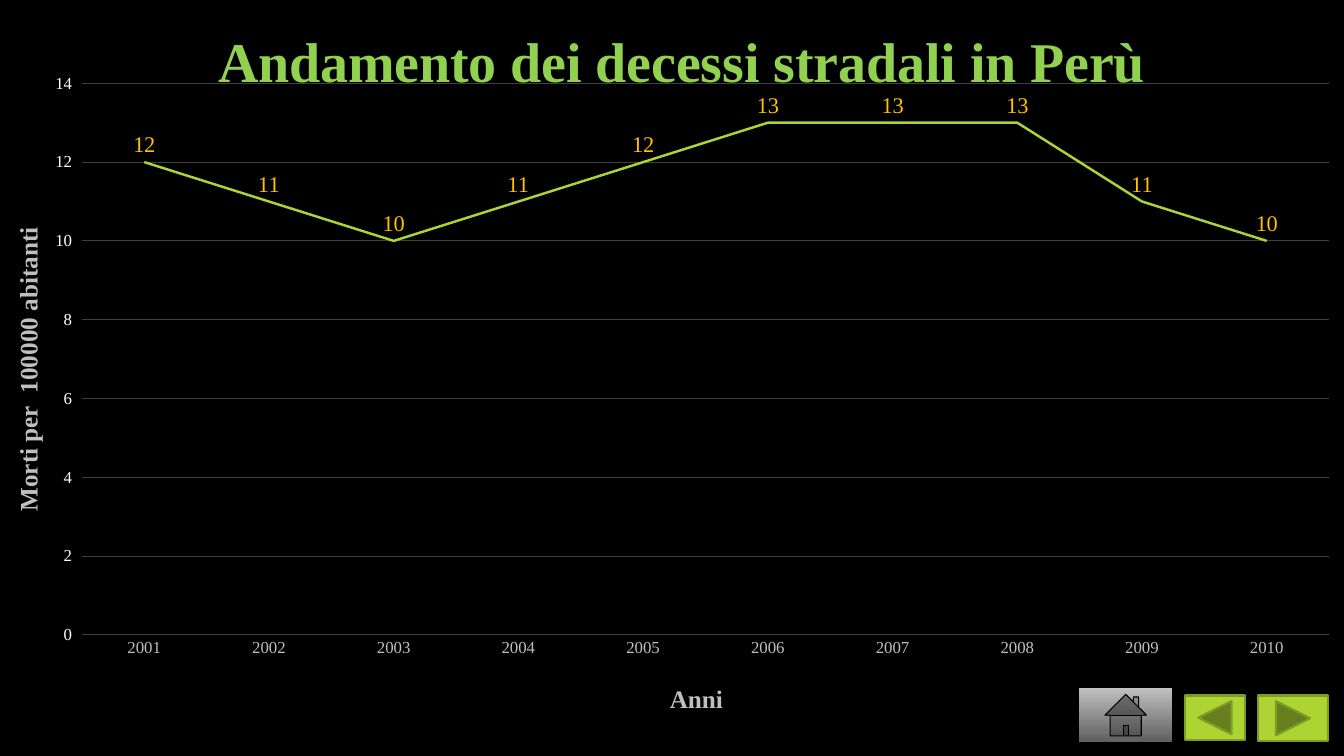
from dataclasses import dataclass

from lxml import etree
from pptx import Presentation
from pptx.chart.data import CategoryChartData
from pptx.dml.color import RGBColor
from pptx.enum.chart import XL_CHART_TYPE, XL_LABEL_POSITION, XL_MARKER_STYLE, XL_TICK_MARK
from pptx.enum.shapes import MSO_SHAPE
from pptx.oxml import parse_xml
from pptx.oxml.ns import nsdecls, qn
from pptx.util import Inches, Pt

LINE = XL_CHART_TYPE.LINE
ABOVE = XL_LABEL_POSITION.ABOVE
NO_MARKER = XL_MARKER_STYLE.NONE
NO_TICK = XL_TICK_MARK.NONE
TICK_OUTSIDE = XL_TICK_MARK.OUTSIDE
BACK = MSO_SHAPE.ACTION_BUTTON_BACK_OR_PREVIOUS
FORWARD = MSO_SHAPE.ACTION_BUTTON_FORWARD_OR_NEXT
HOME = MSO_SHAPE.ACTION_BUTTON_HOME

WIDTH, HEIGHT = Inches(13.33), Inches(7.5)
YEARS = [str(year) for year in range(2001, 2011)]
DEATHS = (12, 11, 10, 11, 12, 13, 13, 13, 11, 10)


@dataclass(frozen=True)
class Theme:
    """Colours, font and type sizes of the slide."""
    font: str = "Times New Roman"
    background: str = "000000"
    title: str = "92D050"
    muted: str = "BFBFBF"
    light: str = "FFFFFF"
    label: str = "FFC000"
    grid: str = "404040"
    accent: str = "ACD433"
    accent_dark: str = "7F9D26"
    home_top: str = "C1C1C1"
    home_bottom: str = "5E5E5E"
    title_size: int = 40
    axis_title_size: int = 18
    label_size: int = 16
    tick_size: int = 12


THEME = Theme()


def color(value):
    """Turn a hexadecimal string into a colour."""
    return RGBColor.from_string(value)


def style_font(font, size, value, bold=False):
    """Set the typeface, size, colour and weight of a font."""
    font.name, font.size, font.bold = THEME.font, Pt(size), bold
    font.color.rgb = color(value)


def set_layout(layout, target=None, **shares):
    """Place a chart part by shares of the chart's size."""
    for child in list(layout):
        layout.remove(child)
    manual = etree.SubElement(layout, qn("c:manualLayout"))
    settings = {"layoutTarget": target} if target else {}
    settings.update({"xMode": "edge", "yMode": "edge"}, **shares)
    for name, value in settings.items():
        etree.SubElement(manual, qn(f"c:{name}")).set("val", str(value))


def add_title(owner, text, size, value, x, y):
    """Give a chart or an axis a bold title at a fixed place."""
    owner.has_title = True
    title = owner.chart_title if hasattr(owner, "chart_title") else owner.axis_title
    run = title.text_frame.paragraphs[0].add_run()
    run.text = text
    style_font(run.font, size, value, bold=True)
    element = title.text_frame._txBody.getparent().getparent()
    layout = element.find(qn("c:layout"))
    if layout is None:
        layout = etree.Element(qn("c:layout"))
        element.find(qn("c:tx")).addnext(layout)
    set_layout(layout, x=x, y=y)


def style_axis(axis, tick_mark, value):
    """Format the tick labels of an axis and hide its line."""
    axis.major_tick_mark, axis.minor_tick_mark = tick_mark, NO_TICK
    axis.format.line.fill.background()
    style_font(axis.tick_labels.font, THEME.tick_size, value)


def style_series(series):
    """Format the line and its value labels."""
    series.smooth = False
    series.marker.style = NO_MARKER
    series.format.line.color.rgb = color(THEME.accent)
    series.format.line.width = Pt(1.75)
    labels = series.data_labels
    labels.show_value, labels.position = True, ABOVE
    style_font(labels.font, THEME.label_size, THEME.label)


def add_deaths_chart(slide):
    """Add the line chart of road deaths by year."""
    data = CategoryChartData()
    data.categories = YEARS
    data.add_series("Series 1", DEATHS)
    frame = slide.shapes.add_chart(LINE, 0, Inches(-0.1), WIDTH, Inches(7.6), data)
    chart = frame.chart
    chart.has_legend = False
    style_font(chart.font, THEME.tick_size, THEME.light)
    chart._chartSpace.find(qn("c:chart")).addnext(
        parse_xml(f'<c:spPr {nsdecls("c", "a")}><a:noFill/><a:ln><a:noFill/></a:ln></c:spPr>'))
    years, deaths = chart.category_axis, chart.value_axis
    style_axis(years, NO_TICK, THEME.muted)
    style_axis(deaths, TICK_OUTSIDE, THEME.light)
    deaths.minimum_scale, deaths.maximum_scale, deaths.major_unit = 0, 14, 2
    gridline = deaths.major_gridlines.format.line
    gridline.color.rgb, gridline.width = color(THEME.grid), Pt(0.75)
    add_title(chart, "Andamento dei decessi stradali in Perù",
              THEME.title_size, THEME.title, 0.155, 0.034)
    add_title(years, "Anni", THEME.axis_title_size, THEME.muted, 0.495, 0.899)
    add_title(deaths, "Morti per  100000 abitanti",
              THEME.axis_title_size, THEME.muted, 0.006, 0.304)
    plot = chart.plots[0]
    plot.vary_by_categories = False
    style_series(plot.series[0])
    area = chart._chartSpace.find(qn("c:chart")).find(qn("c:plotArea"))
    layout = area.find(qn("c:layout"))
    if layout is None:
        layout = etree.Element(qn("c:layout"))
        area.insert(0, layout)
    set_layout(layout, "inner", x=0.061, y=0.122, w=0.928, h=0.72)


def add_button(slide, kind, box, line_color, line_width):
    """Add a navigation button with the accent fill."""
    button = slide.shapes.add_shape(kind, *map(Inches, box))
    button.shadow.inherit = False
    button.fill.solid()
    button.fill.fore_color.rgb = color(THEME.accent)
    button.line.color.rgb, button.line.width = color(line_color), Pt(line_width)
    return button


def shade_button(button, top, bottom):
    """Fill a button with a gradient running downwards."""
    button.fill.gradient()
    button.fill.gradient_angle = 270
    for stop, value, position in zip(button.fill.gradient_stops, (top, bottom), (0, 1)):
        stop.color.rgb, stop.position = color(value), position


def main():
    """Build and save the slide."""
    presentation = Presentation()
    presentation.slide_width, presentation.slide_height = WIDTH, HEIGHT
    slide = presentation.slides.add_slide(presentation.slide_layouts[6])
    slide.background.fill.solid()
    slide.background.fill.fore_color.rgb = color(THEME.background)
    add_deaths_chart(slide)
    add_button(slide, BACK, (11.75, 6.9, 0.6, 0.44), THEME.accent_dark, 1.5)
    add_button(slide, FORWARD, (12.48, 6.9, 0.69, 0.45), THEME.accent_dark, 1.5)
    home = add_button(slide, HOME, (10.7, 6.82, 0.93, 0.55), THEME.background, 0.75)
    shade_button(home, THEME.home_top, THEME.home_bottom)
    presentation.save("out.pptx")


if __name__ == "__main__":
    main()
